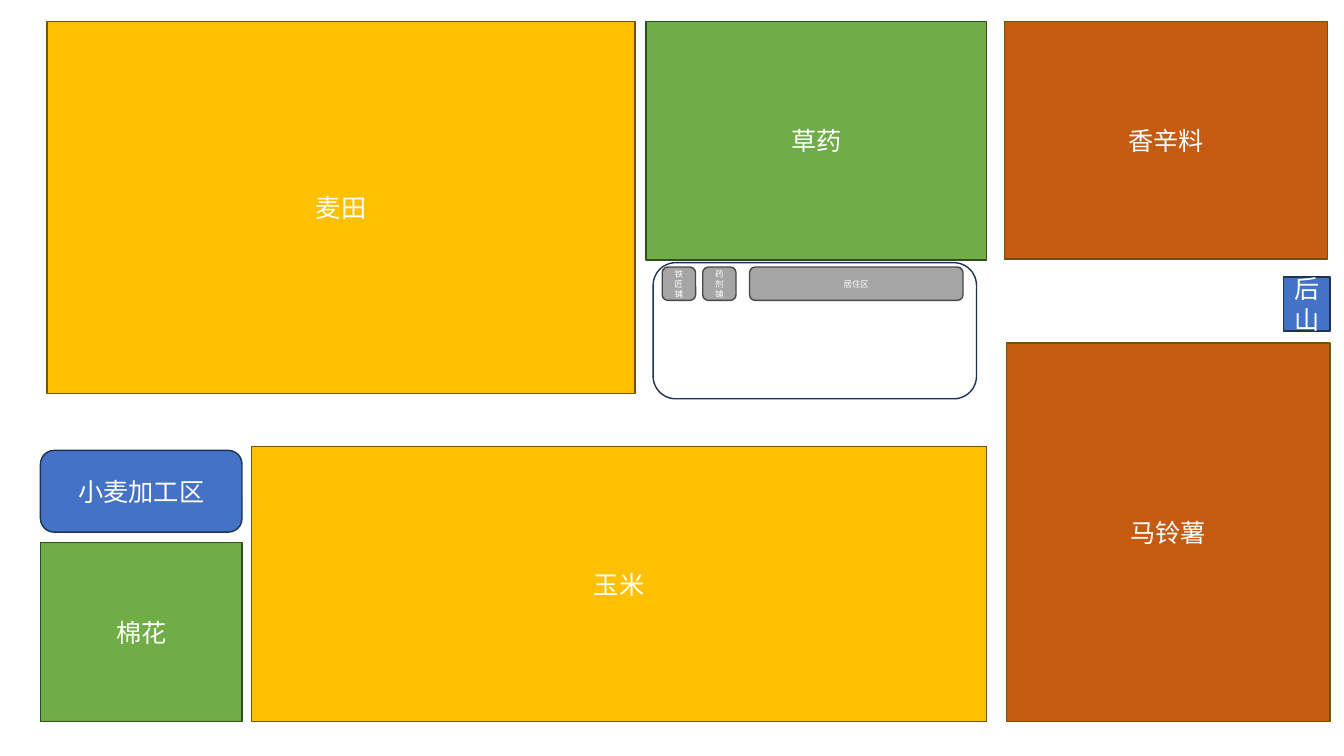
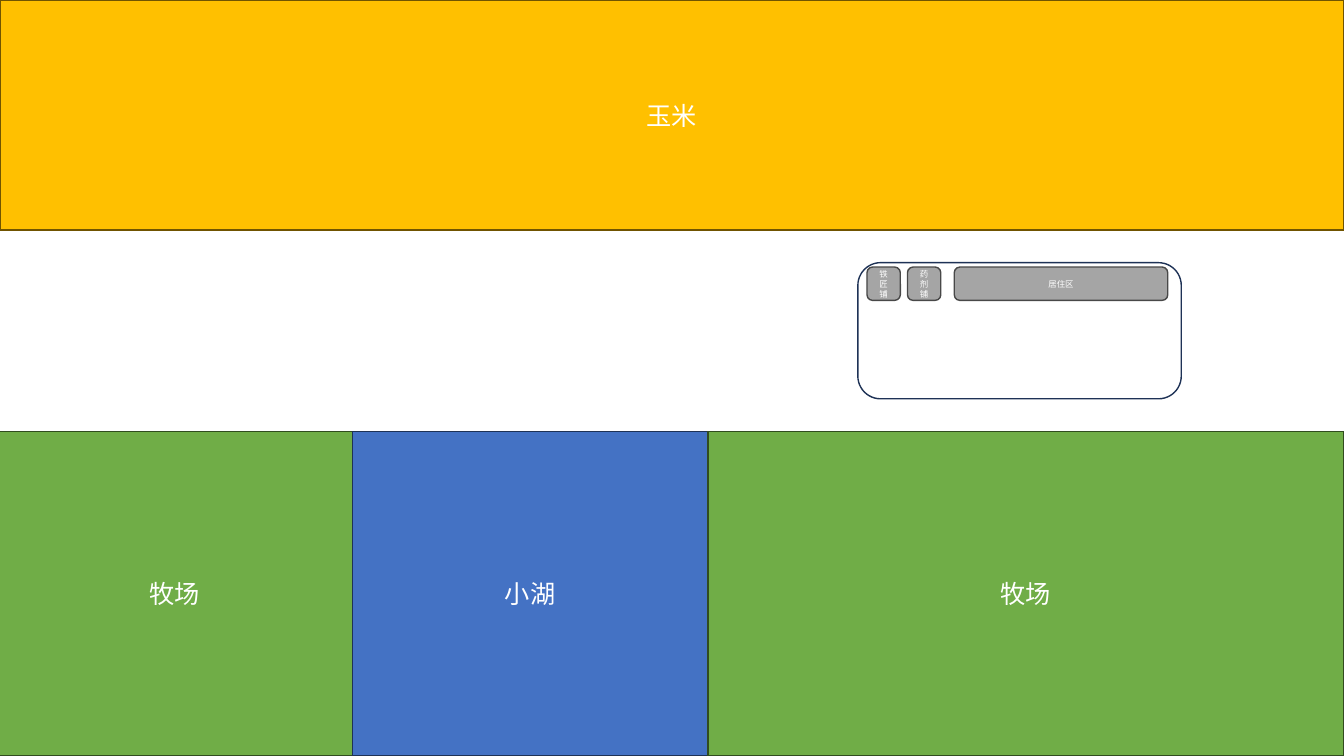
"""Builds two plans of a farming village: its fields and its pastures."""
from lxml import etree
from pptx import Presentation
from pptx.dml.color import RGBColor
from pptx.enum.shapes import MSO_SHAPE
from pptx.enum.text import MSO_ANCHOR, PP_ALIGN
from pptx.oxml.ns import qn
from pptx.util import Cm, Pt

RECTANGLE = MSO_SHAPE.RECTANGLE
ROUNDED = MSO_SHAPE.ROUNDED_RECTANGLE
MIDDLE = MSO_ANCHOR.MIDDLE
CENTER = PP_ALIGN.CENTER

FONT = "Noto Sans CJK SC"
WHITE = RGBColor(0xFF, 0xFF, 0xFF)
GOLD = RGBColor(0xFF, 0xC0, 0x00)
RUST = RGBColor(0xC5, 0x5A, 0x11)
GREEN = RGBColor(0x70, 0xAD, 0x47)
BLUE = RGBColor(0x44, 0x72, 0xC4)
GRAY = RGBColor(0xA5, 0xA5, 0xA5)
DARK_GOLD = RGBColor(0x70, 0x54, 0x00)
DARK_GREEN = RGBColor(0x31, 0x4C, 0x1F)
DARK_BLUE = RGBColor(0x1E, 0x32, 0x56)
DARK_GRAY = RGBColor(0x48, 0x48, 0x48)

GRAIN = (GOLD, DARK_GOLD)
SPICE = (RUST, DARK_GOLD)
PLANT = (GREEN, DARK_GREEN)
PLACE = (BLUE, DARK_BLUE)
SHOP = (GRAY, DARK_GRAY)
OPEN = (None, DARK_BLUE)

PAGE_WIDTH, PAGE_HEIGHT = 33.87, 19.05
SHOPS = [("铁匠铺", 0.23, 0.84), ("药剂铺", 1.25, 0.84), ("居住区", 2.43, 5.38)]


class VillagePlan:
    """Holds the deck, the current page and the style of its areas."""

    def __init__(self):
        self.deck = Presentation()
        self.deck.slide_width = Cm(PAGE_WIDTH)
        self.deck.slide_height = Cm(PAGE_HEIGHT)
        self.page = None

    def add_page(self):
        self.page = self.deck.slides.add_slide(self.deck.slide_layouts[6])

    def area(self, text, left, top, width, height, style,
             outline=RECTANGLE, size=18, group=None):
        shapes = (group or self.page).shapes
        box = shapes.add_shape(outline, Cm(left), Cm(top), Cm(width), Cm(height))
        box.shadow.inherit = False
        fill, line = style
        if fill is None:
            box.fill.background()
        else:
            box.fill.solid()
            box.fill.fore_color.rgb = fill
        box.line.color.rgb = line
        box.line.width = Pt(1)
        if text:
            self.label(box, text, size)

    def label(self, box, text, size):
        frame = box.text_frame
        frame.word_wrap = True
        frame.vertical_anchor = MIDDLE
        para = frame.paragraphs[0]
        para.alignment = CENTER
        span = para.add_run()
        span.text = text
        span.font.name = FONT
        span.font.size = Pt(size)
        span.font.color.rgb = WHITE
        east_asian = etree.SubElement(span.font._element, qn("a:ea"))
        east_asian.set("typeface", FONT)

    def village(self, left, top):
        group = self.page.shapes.add_group_shape()
        self.area("", left, top, 8.15, 3.43, OPEN, ROUNDED, group=group)
        for name, offset, width in SHOPS:
            self.area(name, left + offset, top + 0.11, width, 0.84, SHOP,
                      ROUNDED, 6, group)


def fields_page(plan):
    plan.add_page()
    plan.area("麦田", 1.19, 0.55, 14.81, 9.37, GRAIN)
    plan.village(16.46, 6.62)
    plan.area("草药", 16.28, 0.55, 8.59, 6, PLANT)
    plan.area("马铃薯", 25.37, 8.64, 8.15, 9.55, SPICE)
    plan.area("小麦加工区", 1.02, 11.35, 5.08, 2.06, PLACE, ROUNDED)
    plan.area("玉米", 6.34, 11.25, 18.53, 6.94, GRAIN)
    plan.area("棉花", 1.02, 13.67, 5.08, 4.52, PLANT)
    plan.area("后山", 32.34, 6.98, 1.18, 1.36, PLACE)
    plan.area("香辛料", 25.31, 0.55, 8.15, 5.98, SPICE)


def pastures_page(plan):
    plan.add_page()
    plan.area("玉米", 0, 0, PAGE_WIDTH, 5.8, GRAIN)
    top = 10.87
    edges = [-0.08, 8.88, 17.84, PAGE_WIDTH]
    lands = [("牧场", PLANT), ("小湖", PLACE), ("牧场", PLANT)]
    for (name, style), left, right in zip(lands, edges, edges[1:]):
        plan.area(name, left, top, right - left, PAGE_HEIGHT - top, style)
    plan.village(21.62, 6.62)


def main():
    plan = VillagePlan()
    fields_page(plan)
    pastures_page(plan)
    plan.deck.save("out.pptx")


if __name__ == "__main__":
    main()
